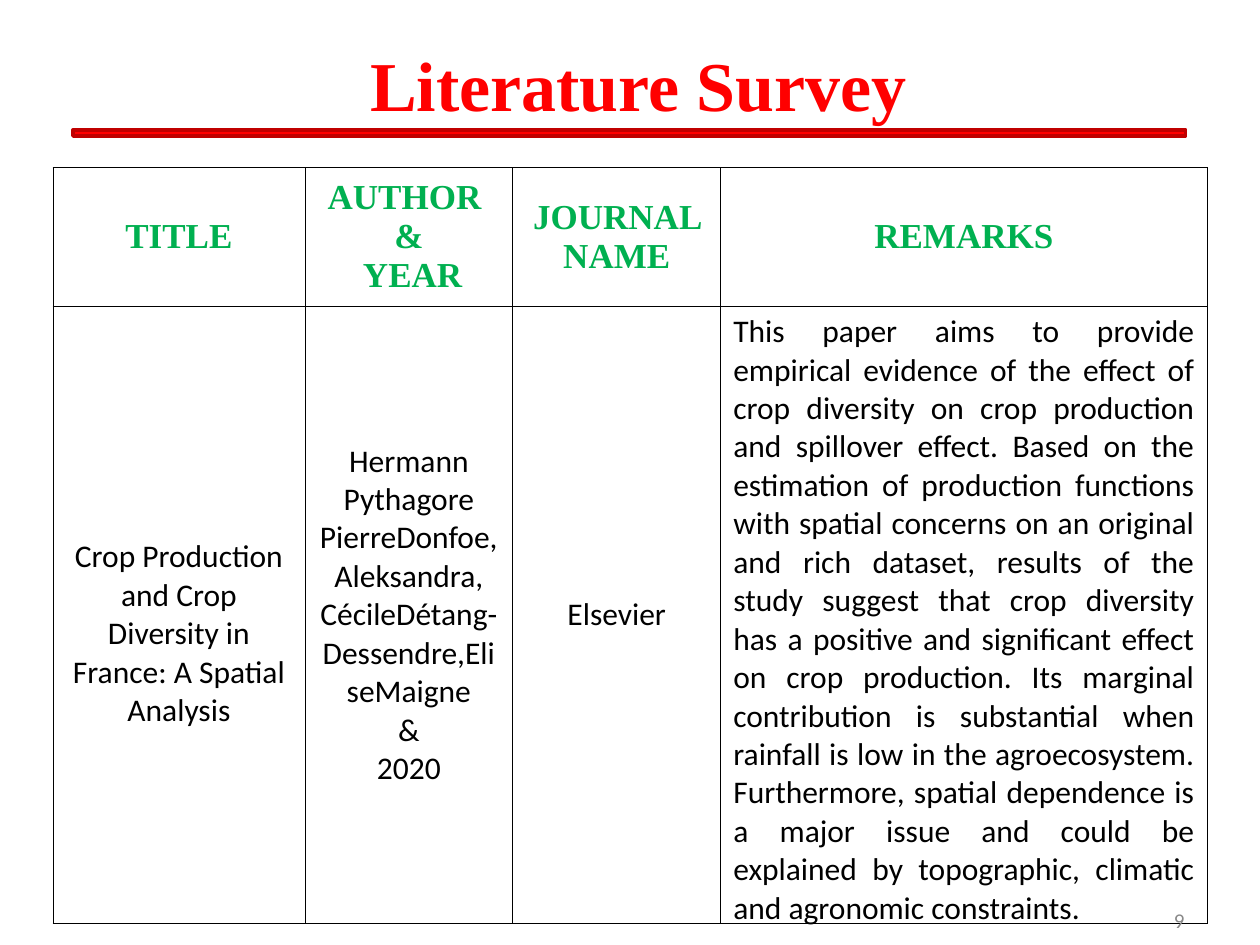
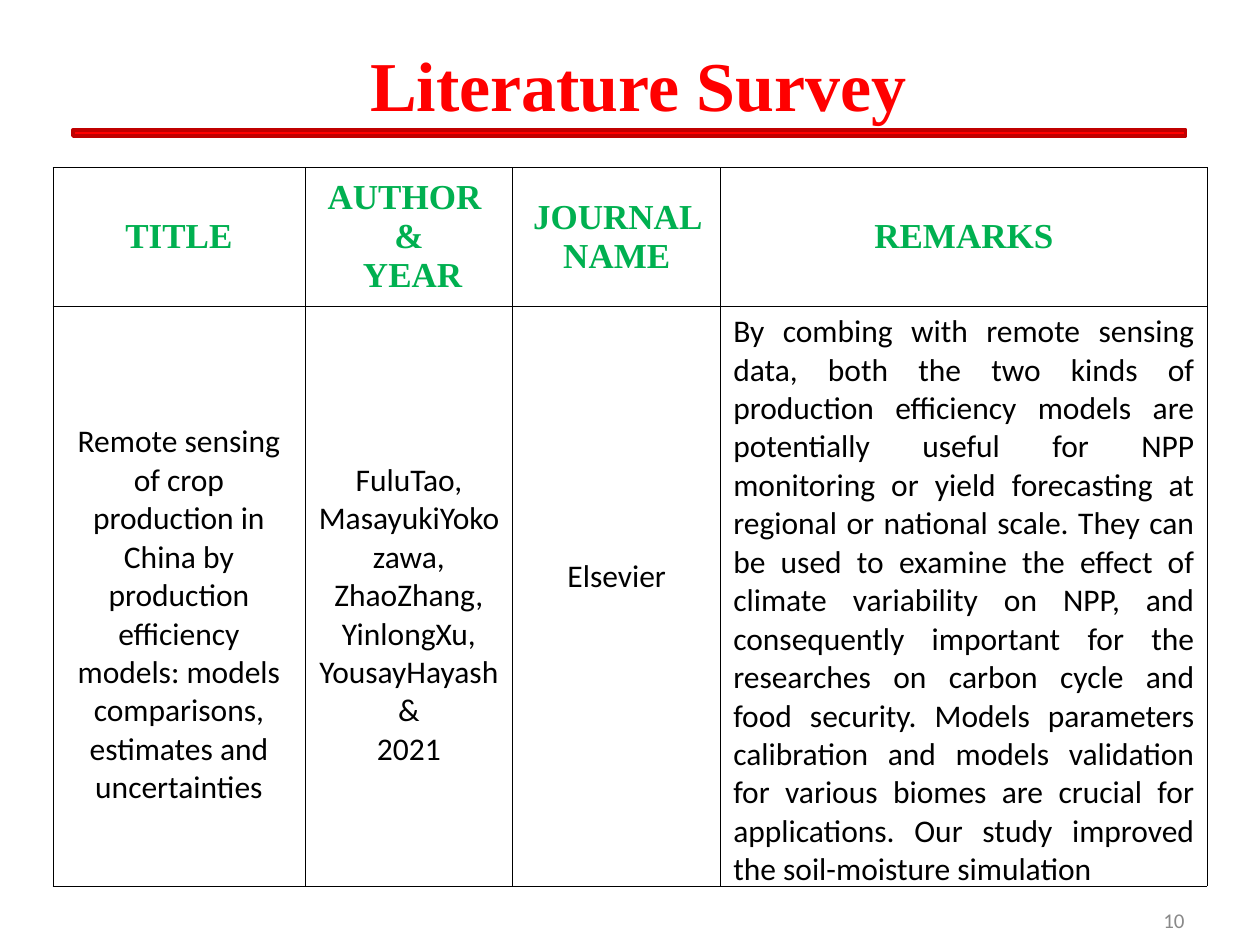
import pptx
import pptx.util
import pptx.dml.color
import pptx.enum.shapes
import pptx.enum.text
import pptx.oxml
import pptx.oxml.ns
from dataclasses import dataclass

Inches = pptx.util.Inches
Pt = pptx.util.Pt
ALIGN = pptx.enum.text.PP_ALIGN
MIDDLE = pptx.enum.text.MSO_ANCHOR.MIDDLE


@dataclass(frozen=True)
class TextStyle:
    font: str
    size: int
    color: str
    bold: bool = False


@dataclass(frozen=True)
class Theme:
    title: TextStyle = TextStyle("Times New Roman", 40, "FF0000", True)
    header: TextStyle = TextStyle("Times New Roman", 20, "00B050", True)
    body: TextStyle = TextStyle("Calibri", 18, "000000")
    number: TextStyle = TextStyle("Calibri", 12, "898989")
    rule_fill: str = "FF0000"
    rule_line: str = "C00000"
    border: str = "000000"
    border_width: float = 0.45
    margin: float = 0.05
    body_line: float = 0.3  # height of one body line, in inches


def rgb(value):
    return pptx.dml.color.RGBColor.from_string(value)


class Deck:
    def __init__(self, theme):
        self.theme = theme
        self.prs = pptx.Presentation()
        self.prs.slide_width, self.prs.slide_height = Inches(10), Inches(7.5)
        self.s = None

    def add_slide(self):
        self.s = self.prs.slides.add_slide(self.prs.slide_layouts[6])

    def add_lines(self, tf, lines, style, align):
        for i, line in enumerate(lines):
            p = tf.paragraphs[0] if i == 0 else tf.add_paragraph()
            p.alignment = align
            r = p.add_run()
            r.text = line
            r.font.name, r.font.size, r.font.bold = style.font, Pt(style.size), style.bold
            r.font.color.rgb = rgb(style.color)

    def text(self, x, y, w, h, line, style, align):
        tf = self.s.shapes.add_textbox(Inches(x), Inches(y), Inches(w), Inches(h)).text_frame
        tf.word_wrap = True
        tf.vertical_anchor = MIDDLE
        self.add_lines(tf, [line], style, align)

    def rule(self, x, y, w, h):
        sp = self.s.shapes.add_shape(pptx.enum.shapes.MSO_SHAPE.RECTANGLE,
                                     Inches(x), Inches(y), Inches(w), Inches(h))
        sp.shadow.inherit = False
        sp.fill.solid()
        sp.fill.fore_color.rgb = rgb(self.theme.rule_fill)
        sp.line.color.rgb = rgb(self.theme.rule_line)
        sp.line.width = Pt(2)

    def cell(self, cell, lines, style, align, above=0, below=0):
        """Fill a cell; above and below count body lines of extra margin."""
        t = self.theme
        cell.vertical_anchor = MIDDLE
        cell.margin_top = Inches(t.margin + above * t.body_line)
        cell.margin_bottom = Inches(t.margin + below * t.body_line)
        self.add_lines(cell.text_frame, lines, style, align)
        tcPr = cell._tc.get_or_add_tcPr()
        for side in ("lnL", "lnR", "lnT", "lnB"):
            tcPr.append(pptx.oxml.parse_xml(
                f'<a:{side} {pptx.oxml.ns.nsdecls("a")} w="{int(Pt(t.border_width))}">'
                f'<a:solidFill><a:srgbClr val="{t.border}"/></a:solidFill></a:{side}>'))
        cell.fill.background()

    def table(self, x, y, col_widths, row_heights):
        frame = self.s.shapes.add_table(len(row_heights), len(col_widths), Inches(x), Inches(y),
                                        Inches(sum(col_widths)), Inches(sum(row_heights)))
        tbl = frame.table
        tbl.first_row = tbl.horz_banding = False
        for col, w in zip(tbl.columns, col_widths):
            col.width = Inches(w)
        for row, h in zip(tbl.rows, row_heights):
            row.height = Inches(h)
        return tbl


# Shared table layout
COLUMNS = [2, 1.65, 1.65, 3.86]
HEADERS = [["TITLE"], ["AUTHOR ", "&", " YEAR"], ["JOURNAL NAME"], ["REMARKS"]]


@dataclass(frozen=True)
class Paper:
    number: int
    title: str
    authors: str
    year: str
    journal: str
    remarks: str
    row_height: float
    author_above: int = 0
    journal_below: int = 0


PAPERS = [
    Paper(9, "Crop Production and Crop Diversity in France: A Spatial Analysis",
          "Hermann Pythagore PierreDonfoe, Aleksandra, CécileDétang-Dessendre,EliseMaigne",
          "2020", "Elsevier",
          "This paper aims to provide empirical evidence of the effect of crop diversity on crop "
          "production and spillover effect. Based on the estimation of production functions with "
          "spatial concerns on an original and rich dataset, results of the study suggest that "
          "crop diversity has a positive and significant effect on crop production. Its marginal "
          "contribution is substantial when rainfall is low in the agroecosystem. Furthermore, "
          "spatial dependence is a major issue and could be explained by topographic, climatic "
          "and agronomic constraints.",
          4.9),
    Paper(10, "Remote sensing of crop production in China by production efficiency models: "
          "models comparisons, estimates and uncertainties",
          "FuluTao, MasayukiYokozawa, ZhaoZhang, YinlongXu, YousayHayash",
          "2021", "Elsevier",
          "By combing with remote sensing data, both the two kinds of production efficiency "
          "models are potentially useful for NPP monitoring or yield forecasting at regional or "
          "national scale. They can be used to examine the effect of climate variability on NPP, "
          "and consequently important for the researches on carbon cycle and food security. "
          "Models parameters calibration and models validation for various biomes are crucial "
          "for applications. Our study improved the soil-moisture simulation",
          4.6, author_above=1, journal_below=1),
]


def survey_slide(deck, paper):
    t = deck.theme
    deck.add_slide()

    # Title and rule
    deck.rule(0.58, 1.03, 8.83, 0.05)
    deck.text(0.5, 0, 9, 1.33, " Literature Survey", t.title, ALIGN.CENTER)

    # Survey table
    tbl = deck.table(0.42, 1.33, COLUMNS, [1.1, paper.row_height])
    for c, lines in enumerate(HEADERS):
        deck.cell(tbl.cell(0, c), lines, t.header, ALIGN.CENTER)
    deck.cell(tbl.cell(1, 0), [paper.title], t.body, ALIGN.CENTER, above=1)
    deck.cell(tbl.cell(1, 1), [paper.authors, "&", paper.year], t.body, ALIGN.CENTER,
              above=paper.author_above)
    deck.cell(tbl.cell(1, 2), [paper.journal], t.body, ALIGN.CENTER, below=paper.journal_below)
    deck.cell(tbl.cell(1, 3), [paper.remarks], t.body, ALIGN.JUSTIFY)

    # Slide number
    deck.text(7.17, 7.1, 2.33, 0.4, str(paper.number), t.number, ALIGN.RIGHT)


def main():
    deck = Deck(Theme())
    for paper in PAPERS:
        survey_slide(deck, paper)
    deck.prs.save("out.pptx")


if __name__ == "__main__":
    main()
